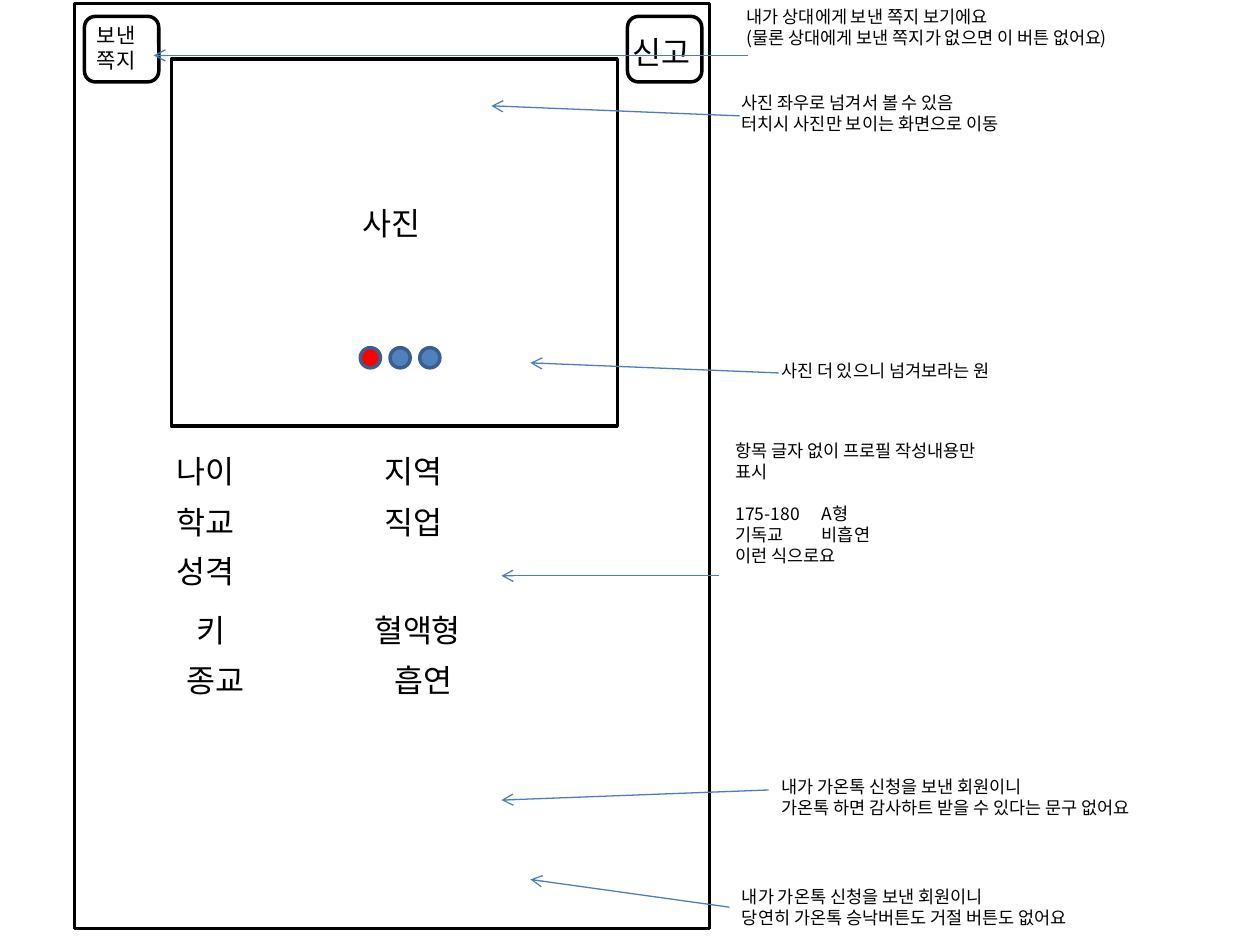
"""Build an annotated wireframe of a member profile screen."""
from lxml import etree
from pptx import Presentation
from pptx.dml.color import RGBColor
from pptx.enum.shapes import MSO_CONNECTOR, MSO_SHAPE
from pptx.oxml.ns import qn
from pptx.util import Inches, Pt

RECTANGLE, ROUNDED, OVAL = MSO_SHAPE.RECTANGLE, MSO_SHAPE.ROUNDED_RECTANGLE, MSO_SHAPE.OVAL
STRAIGHT = MSO_CONNECTOR.STRAIGHT
THEME = {
    "font": "Noto Sans CJK KR",
    "ink": RGBColor.from_string("000000"),
    "arrow": RGBColor.from_string("4B7EBC"),
    "dot": RGBColor.from_string("4F81BD"),
    "dot_edge": RGBColor.from_string("3A5F8C"),
    "current": RGBColor.from_string("FF0000"),
    "label": 18, "button": 12, "note": 10,
    "leading": 1.2, "outline": Pt(2), "arrow_line": Pt(0.75),
}

deck = Presentation()
deck.slide_width, deck.slide_height = Inches(10), Inches(7.5)
page = deck.slides.add_slide(deck.slide_layouts[6])
COLUMN, ROW = deck.slide_width / 100, deck.slide_height / 75


def add_outline(kind, left, top, width, height, edge, fill=None):
    """Draw an outlined shape on the grid, filled only when a colour is given."""
    shape = page.shapes.add_shape(
        kind, int(left * COLUMN), int(top * ROW), int(width * COLUMN), int(height * ROW))
    shape.shadow.inherit = False
    shape.line.color.rgb, shape.line.width = edge, THEME["outline"]
    if fill is None:
        shape.fill.background()
    else:
        shape.fill.solid()
        shape.fill.fore_color.rgb = fill


def add_text(lines, left, top, width, height, size, tab=None, gap_before=None):
    """Write lines on the grid, with an optional tab stop and a gap before one line."""
    box = page.shapes.add_textbox(
        int(left * COLUMN), int(top * ROW), int(width * COLUMN), int(height * ROW))
    frame = box.text_frame
    frame.word_wrap = True
    for index, line in enumerate(lines):
        para = frame.paragraphs[0] if index == 0 else frame.add_paragraph()
        if tab and "\t" in line:
            stops = etree.SubElement(para._p.get_or_add_pPr(), qn("a:tabLst"))
            etree.SubElement(stops, qn("a:tab"), pos=str(int(tab * COLUMN)), algn="l")
        para.line_spacing = Pt(size * THEME["leading"])
        if index == gap_before:
            para.space_before = Pt(size * THEME["leading"])
        span = para.add_run()
        span.text = line
        for name, value in {"size": Pt(size), "name": THEME["font"]}.items():
            setattr(span.font, name, value)
        span.font.color.rgb = THEME["ink"]
        etree.SubElement(span._r.get_or_add_rPr(), qn("a:ea"), typeface=THEME["font"])


frames = [
    (RECTANGLE, 5.9, 0.3, 50.4, 73.4),
    (RECTANGLE, 13.6, 4.7, 35.4, 29.1),
    (ROUNDED, 49.8, 1.3, 5.9, 5.2),
    (ROUNDED, 6.7, 1.3, 5.9, 5.2),
]
for frame_values in frames:
    add_outline(*frame_values, THEME["ink"])

for index, colour in enumerate([THEME["current"], THEME["dot"], THEME["dot"]]):
    add_outline(OVAL, 28.6 + index * 2.36, 27.6, 1.6, 1.6, THEME["dot_edge"], colour)

labels = [
    ("사진", 27.8, 15.7), ("신고", 49.2, 2.1),
    ("나이", 13, 35.4), ("지역", 29.5, 35.4),
    ("학교", 13, 39.4), ("직업", 29.5, 39.4),
    ("성격", 13, 43.3),
    ("키", 14.6, 48), ("혈액형", 28.7, 48),
    ("종교", 13.8, 52), ("흡연", 30.3, 52),
]
for word, left, top in labels:
    add_text([word], left, top, 2 + 2.55 * len(word), 4, THEME["label"])
add_text(["보낸", "쪽지"], 6.7, 1.3, 6.3, 5, THEME["button"])

notes = [
    (["내가 상대에게 보낸 쪽지 보기에요",
      "(물론 상대에게 보낸 쪽지가 없으면 이 버튼 없어요)"], 58.3, 0, 34.3),
    (["사진 좌우로 넘겨서 볼 수 있음", "터치시 사진만 보이는 화면으로 이동"], 57.9, 6.8, 25),
    (["사진 더 있으니 넘겨보라는 원"], 61, 28.1, 20.8),
    (["내가 가온톡 신청을 보낸 회원이니",
      "가온톡 하면 감사하트 받을 수 있다는 문구 없어요"], 61, 61.1, 33.5),
    (["내가 가온톡 신청을 보낸 회원이니",
      "당연히 가온톡 승낙버튼도 거절 버튼도 없어요"], 57.9, 69.8, 31.1),
]
for lines, left, top, width in notes:
    add_text(lines, left, top, width, 1 + 1.7 * len(lines), THEME["note"])
add_text(
    ["항목 글자 없이 프로필 작성내용만", "표시", "175-180\tA형", "기독교\t비흡연", "이런 식으로요"],
    57.4, 34.4, 23.6, 11.1, THEME["note"], tab=6.85, gap_before=2)

arrows = [
    (59.4, 4.4, 12.2, 4.4), (58.7, 9.2, 39, 8.4), (61.8, 29.6, 42.1, 28.8),
    (57.1, 45.7, 39.8, 45.7), (61, 62.7, 39.8, 63.5), (57.9, 72, 42.1, 69.8),
]
for start_x, start_y, end_x, end_y in arrows:
    arrow = page.shapes.add_connector(
        STRAIGHT, int(start_x * COLUMN), int(start_y * ROW), int(end_x * COLUMN), int(end_y * ROW))
    arrow.line.color.rgb, arrow.line.width = THEME["arrow"], THEME["arrow_line"]
    etree.SubElement(arrow.line._get_or_add_ln(), qn("a:tailEnd"), type="arrow")
    etree.SubElement(arrow._element.spPr, qn("a:effectLst"))

deck.save("out.pptx")
